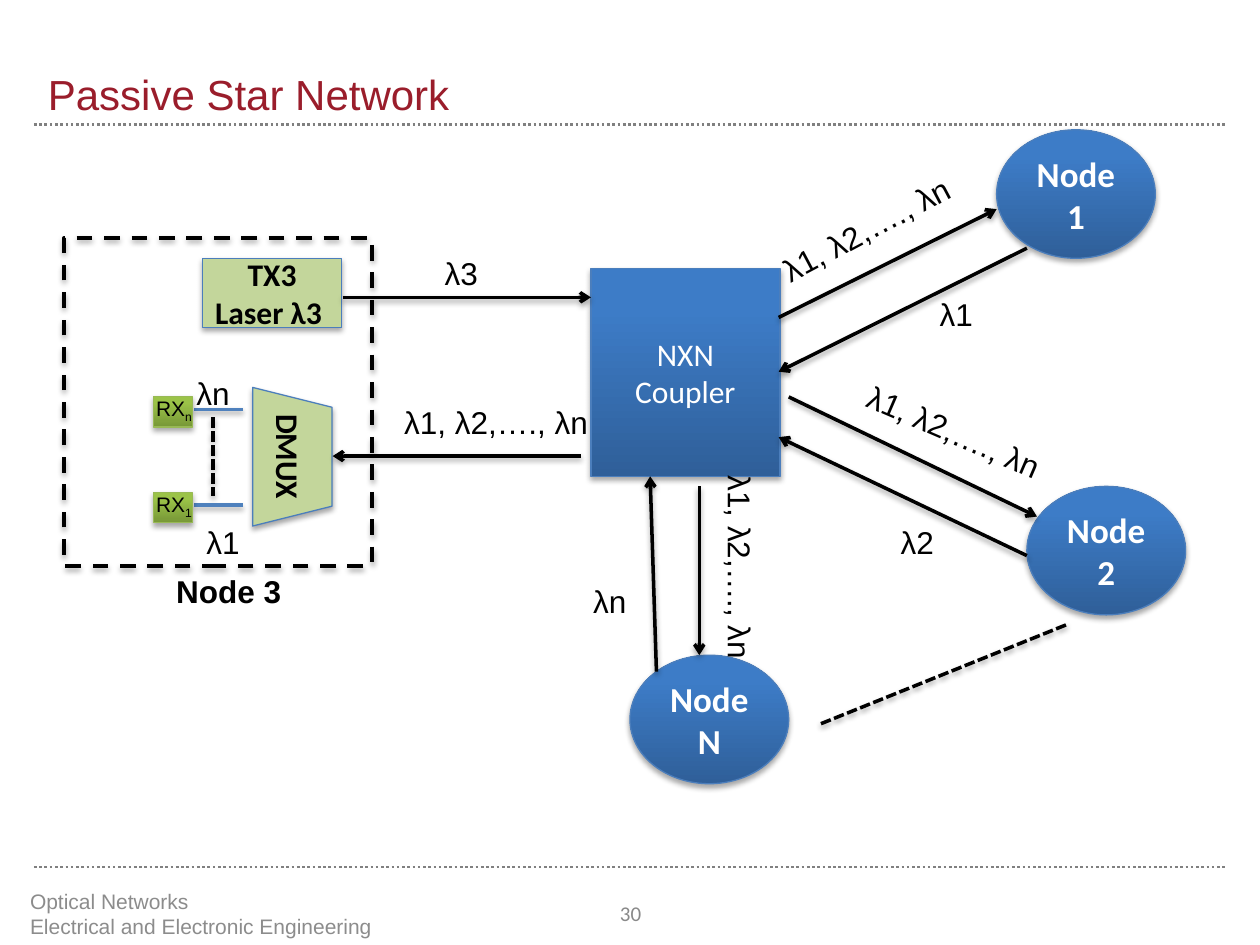
from dataclasses import dataclass
from typing import Any, Optional

import pptx
import pptx.dml.color
import pptx.enum.dml
import pptx.enum.shapes
import pptx.enum.text
import pptx.oxml
import pptx.oxml.ns
import pptx.util

Inches = pptx.util.Inches
Pt = pptx.util.Pt
SHAPE = pptx.enum.shapes.MSO_SHAPE
DASH = pptx.enum.dml.MSO_LINE
ALIGN = pptx.enum.text.PP_ALIGN
ANCHOR = pptx.enum.text.MSO_ANCHOR
NS = pptx.oxml.ns.nsdecls("a")

BLUE = ("2F5F99", "3D7CC7")
GREEN = ("779737", "9BC348")
PALE = ("C3D69B",)
BLUE_EDGE = "4B7EBC"
CHANNELS = "λ1, λ2,…., λn"


@dataclass
class Box:
    x: float
    y: float
    w: float
    h: float
    lines: tuple[str, ...] = ()
    kind: Any = SHAPE.RECTANGLE
    colors: tuple[str, ...] = BLUE
    edge: str = BLUE_EDGE
    size: float = 18
    color: str = "FFFFFF"
    bold: bool = False
    rotation: float = 0
    wrap: bool = True


@dataclass
class Line:
    x1: float
    y1: float
    x2: float
    y2: float
    color: str = "000000"
    width: float = 2
    dash: Any = None
    arrow: bool = True
    shadow: bool = True


@dataclass
class Label:
    x: float
    y: float
    text: str
    w: float = 0.55
    rotation: float = 0


def rgb(value: str) -> pptx.dml.color.RGBColor:
    return pptx.dml.color.RGBColor.from_string(value)


def write(tf: Any, *lines: str, size: float = 18, font: str = "Arial", color: str = "000000",
          bold: bool = False, align: Any = ALIGN.LEFT, anchor: Any = ANCHOR.TOP,
          wrap: bool = True, sub: Optional[str] = None) -> None:
    tf.word_wrap = wrap
    tf.vertical_anchor = anchor
    for i, line in enumerate(lines):
        p = tf.add_paragraph() if i else tf.paragraphs[0]
        p.alignment = align
        for text in (line, sub) if sub else (line,):
            r = p.add_run()
            r.text = text
            r.font.size = Pt(size)
            r.font.name = font
            r.font.bold = bold
            r.font.color.rgb = rgb(color)
        if sub:
            r.font._element.set("baseline", "-25000")


def set_effects(sp: Any, shadow: bool = True) -> None:
    inner = ('<a:outerShdw blurRad="40000" dist="23000" dir="5400000" rotWithShape="0">'
             '<a:srgbClr val="000000"><a:alpha val="35000"/></a:srgbClr></a:outerShdw>')
    xml = f"<a:effectLst {NS}>{inner if shadow else ''}</a:effectLst>"
    sp._element.spPr.append(pptx.oxml.parse_xml(xml))


def draw_box(s: Any, b: Box) -> None:
    sp = s.shapes.add_shape(b.kind, Inches(b.x), Inches(b.y), Inches(b.w), Inches(b.h))
    sp.rotation = b.rotation
    if len(b.colors) == 2:
        sp.fill.gradient()
        sp.fill.gradient_angle = 90
        for stop, color, position in zip(sp.fill.gradient_stops, b.colors, (0, 0.8)):
            stop.color.rgb = rgb(color)
            stop.position = position
    else:
        sp.fill.solid()
        sp.fill.fore_color.rgb = rgb(b.colors[0])
    sp.line.color.rgb = rgb(b.edge)
    sp.line.width = Pt(0.75)
    set_effects(sp)
    if b.lines:
        write(sp.text_frame, *b.lines, size=b.size, font="Calibri", color=b.color, bold=b.bold,
              align=ALIGN.CENTER, anchor=ANCHOR.MIDDLE, wrap=b.wrap)


def draw_line(s: Any, n: Line) -> None:
    cx = s.shapes.add_connector(pptx.enum.shapes.MSO_CONNECTOR.STRAIGHT, Inches(n.x1),
                                Inches(n.y1), Inches(n.x2), Inches(n.y2))
    cx.line.color.rgb = rgb(n.color)
    cx.line.width = Pt(n.width)
    if n.dash:
        cx.line.dash_style = n.dash
    if n.arrow:
        cx.line._get_or_add_ln().append(pptx.oxml.parse_xml(f'<a:tailEnd {NS} type="arrow"/>'))
    set_effects(cx, n.shadow)


def draw_text(s: Any, x: float, y: float, w: float, h: float, *lines: str,
              rotation: float = 0, **fmt: Any) -> None:
    tb = s.shapes.add_textbox(Inches(x), Inches(y), Inches(w), Inches(h))
    tb.rotation = rotation
    write(tb.text_frame, *lines, **fmt)


def node(x: float, y: float, name: str) -> Box:
    return Box(x, y, 1.26, 1.02, (f"Node {name}",), SHAPE.OVAL, size=20, bold=True)


BOXES = [
    Box(4.69, 2.13, 1.5, 1.65, ("NXN", "Coupler")),
    node(7.91, 1.03, "1"),
    node(8.15, 3.86, "2"),
    node(5, 5.2, "N"),
    Box(1.77, 3.31, 1.1, 0.63, ("DMUX",), SHAPE.TRAPEZOID, PALE, color="000000", bold=True,
        rotation=90, wrap=False),
    Box(1.61, 2.05, 1.1, 0.55, ("TX3", "Laser λ3 "), colors=PALE, color="000000", bold=True,
        wrap=False),
]

LINES = [
    Line(6.18, 2.52, 7.91, 1.66),
    Line(8.15, 1.97, 6.18, 2.95),
    Line(6.26, 3.15, 8.23, 4.1),
    Line(8.15, 4.41, 6.18, 3.47),
    Line(5.21, 5.33, 5.16, 3.78),
    Line(5.55, 3.86, 5.55, 5.2),
    Line(4.61, 3.62, 2.64, 3.62),
    Line(2.72, 2.36, 4.69, 2.36),
    Line(8.46, 4.96, 6.5, 5.75, dash=DASH.SQUARE_DOT, arrow=False),
    Line(1.69, 3.31, 1.69, 3.94, dash=DASH.SQUARE_DOT, arrow=False),
]

LABELS = [
    Label(6.04, 1.6, CHANNELS, 1.73, 331.9),
    Label(6.74, 3.24, CHANNELS, 1.73, 23.3),
    Label(5.01, 4.34, CHANNELS, 1.73, 90),
    Label(3.11, 3.15, CHANNELS, 1.73),
    Label(3.43, 1.97, "λ3"),
    Label(7.36, 2.29, "λ1"),
    Label(7.05, 4.1, "λ2"),
    Label(4.61, 4.57, "λn"),
    Label(1.54, 4.1, "λ1"),
    Label(1.46, 2.92, "λn"),
]


def main() -> None:
    prs = pptx.Presentation()
    prs.slide_width, prs.slide_height = Inches(10), Inches(7.5)
    s = prs.slides.add_slide(prs.slide_layouts[5])
    for y in (0.99, 6.88):
        draw_line(s, Line(0.27, y, 9.73, y, "808080", 1.5, DASH.ROUND_DOT, False, False))

    title = s.shapes.title
    title.left, title.top, title.width, title.height = map(Inches, (0.28, 0, 9.45, 0.99))
    write(title.text_frame, "Passive Star Network", size=24, color="9A1D2B", anchor=ANCHOR.BOTTOM)

    frame = s.shapes.add_shape(SHAPE.RECTANGLE, *map(Inches, (0.51, 1.89, 2.44, 2.6)))
    frame.fill.background()
    frame.line.color.rgb = rgb("000000")
    frame.line.width = Pt(2.25)
    frame.line.dash_style = DASH.DASH
    set_effects(frame)

    for b in BOXES:
        draw_box(s, b)
    for n in LINES:
        draw_line(s, n)
    for y, sub in ((3.15, "n"), (3.91, "1")):
        draw_line(s, Line(1.93, y + 0.1, 1.54, y + 0.1, "4F81BD", arrow=False))
        draw_box(s, Box(1.22, y, 0.31, 0.24, colors=GREEN, edge="98B955"))
        draw_text(s, 1.14, y - 0.06, 0.5, 0.3, "RX", sub=sub, size=12, wrap=False)
    for t in LABELS:
        draw_text(s, t.x, t.y, t.w, 0.4, t.text, rotation=t.rotation)
    draw_text(s, 1.3, 4.49, 1.04, 0.4, "Node 3", bold=True, wrap=False)
    draw_text(s, 0.14, 7.05, 4.23, 0.4, "Optical Networks", "Electrical and Electronic Engineering",
              size=12, color="8C8C8C", anchor=ANCHOR.MIDDLE)
    draw_text(s, 4.61, 7.05, 0.79, 0.4, "30", size=12, font="Calibri", color="898989",
              align=ALIGN.CENTER, anchor=ANCHOR.MIDDLE)
    prs.save("out.pptx")


if __name__ == "__main__":
    main()
